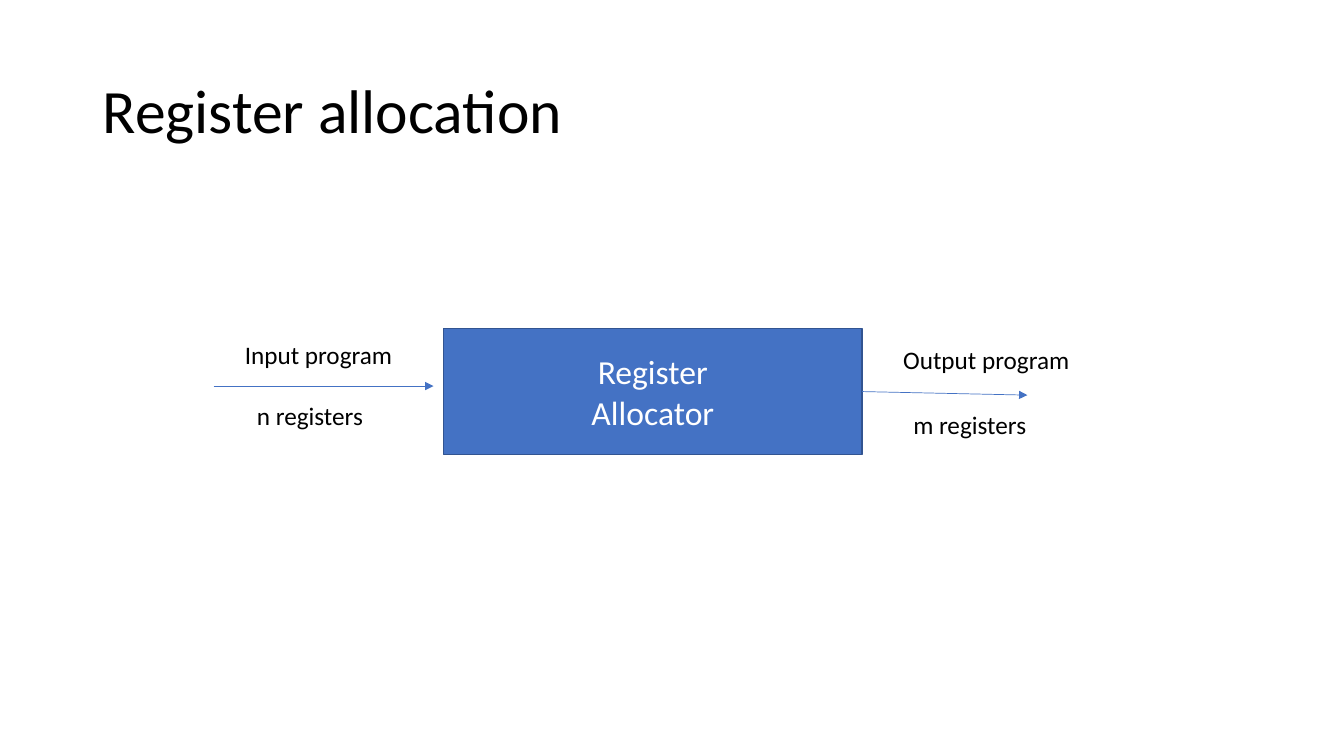
from dataclasses import dataclass
from typing import Optional

from lxml import etree
from pptx import Presentation
from pptx.dml.color import RGBColor
from pptx.enum.shapes import MSO_CONNECTOR, MSO_SHAPE
from pptx.enum.text import MSO_ANCHOR, PP_ALIGN
from pptx.oxml.ns import qn
from pptx.shapes.autoshape import Shape
from pptx.slide import Slide
from pptx.text.text import TextFrame
from pptx.util import Inches, Pt

RECTANGLE = MSO_SHAPE.RECTANGLE
STRAIGHT = MSO_CONNECTOR.STRAIGHT
TOP, MIDDLE = MSO_ANCHOR.TOP, MSO_ANCHOR.MIDDLE
LEFT, CENTER = PP_ALIGN.LEFT, PP_ALIGN.CENTER
RIGHT_SIDE = 3


@dataclass(frozen=True)
class Theme:
    font: str = "Calibri"
    text: RGBColor = RGBColor(0x00, 0x00, 0x00)
    on_accent: RGBColor = RGBColor(0xFF, 0xFF, 0xFF)
    accent: RGBColor = RGBColor(0x44, 0x72, 0xC4)
    border: RGBColor = RGBColor(0x32, 0x54, 0x91)
    title_size: int = 44
    box_size: int = 24
    label_size: int = 18


THEME = Theme()


@dataclass(frozen=True)
class Label:
    text: str
    left: float
    top: float
    width: float = 2.43
    height: float = 0.4
    size: int = THEME.label_size
    anchor: MSO_ANCHOR = TOP
    line_spacing: float = 1.0


@dataclass(frozen=True)
class Arrow:
    x1: float
    y1: float
    x2: float
    y2: float
    source: Optional[Shape] = None


LABELS = [
    Label("Register allocation", 0.92, 0.4, 11.5, 1.45,
          THEME.title_size, MIDDLE, 0.9),
    Label("Input program", 2.33, 3.32),
    Label("Output program", 8.86, 3.37),
    Label("n registers", 2.45, 3.92),
    Label("m registers", 8.96, 4.01),
]


def write_lines(tf: TextFrame, lines: list[str], size: int, color: RGBColor,
                align: PP_ALIGN = LEFT, spacing: float = 1.0) -> None:
    """Write each line as its own paragraph."""
    tf.word_wrap = True
    for i, line in enumerate(lines):
        p = tf.add_paragraph() if i else tf.paragraphs[0]
        p.alignment = align
        p.line_spacing = spacing
        r = p.add_run()
        r.text = line
        r.font.name = THEME.font
        r.font.size = Pt(size)
        r.font.color.rgb = color


def add_label(s: Slide, label: Label) -> None:
    sp = s.shapes.add_textbox(Inches(label.left), Inches(label.top),
                              Inches(label.width), Inches(label.height))
    sp.text_frame.vertical_anchor = label.anchor
    write_lines(sp.text_frame, [label.text], label.size, THEME.text,
                spacing=label.line_spacing)


def add_allocator(s: Slide) -> Shape:
    sp = s.shapes.add_shape(RECTANGLE, Inches(4.4), Inches(3.26),
                            Inches(4.15), Inches(1.25))
    sp.shadow.inherit = False
    sp.fill.solid()
    sp.fill.fore_color.rgb = THEME.accent
    sp.line.color.rgb = THEME.border
    sp.line.width = Pt(1)
    sp.text_frame.vertical_anchor = MIDDLE
    write_lines(sp.text_frame, ["Register", "Allocator"], THEME.box_size,
                THEME.on_accent, CENTER)
    return sp


def add_arrow(s: Slide, arrow: Arrow) -> None:
    """Draw an arrow, joined to the right side of its source if it has one."""
    line = s.shapes.add_connector(STRAIGHT, Inches(arrow.x1), Inches(arrow.y1),
                                  Inches(arrow.x2), Inches(arrow.y2))
    if arrow.source is not None:
        line.begin_connect(arrow.source, RIGHT_SIDE)
    line.line.color.rgb = THEME.accent
    line.line.width = Pt(0.5)
    sp_pr = line._element.spPr
    etree.SubElement(sp_pr.find(qn("a:ln")), qn("a:tailEnd"), type="triangle")
    etree.SubElement(sp_pr, qn("a:effectLst"))


def main() -> None:
    prs = Presentation()
    prs.slide_width, prs.slide_height = Inches(13.33), Inches(7.5)
    s = prs.slides.add_slide(prs.slide_layouts[6])
    allocator = add_allocator(s)
    for arrow in (Arrow(2.12, 3.83, 4.3, 3.83),
                  Arrow(8.55, 3.89, 10.19, 3.92, allocator)):
        add_arrow(s, arrow)
    for label in LABELS:
        add_label(s, label)
    prs.save("out.pptx")


if __name__ == "__main__":
    main()
